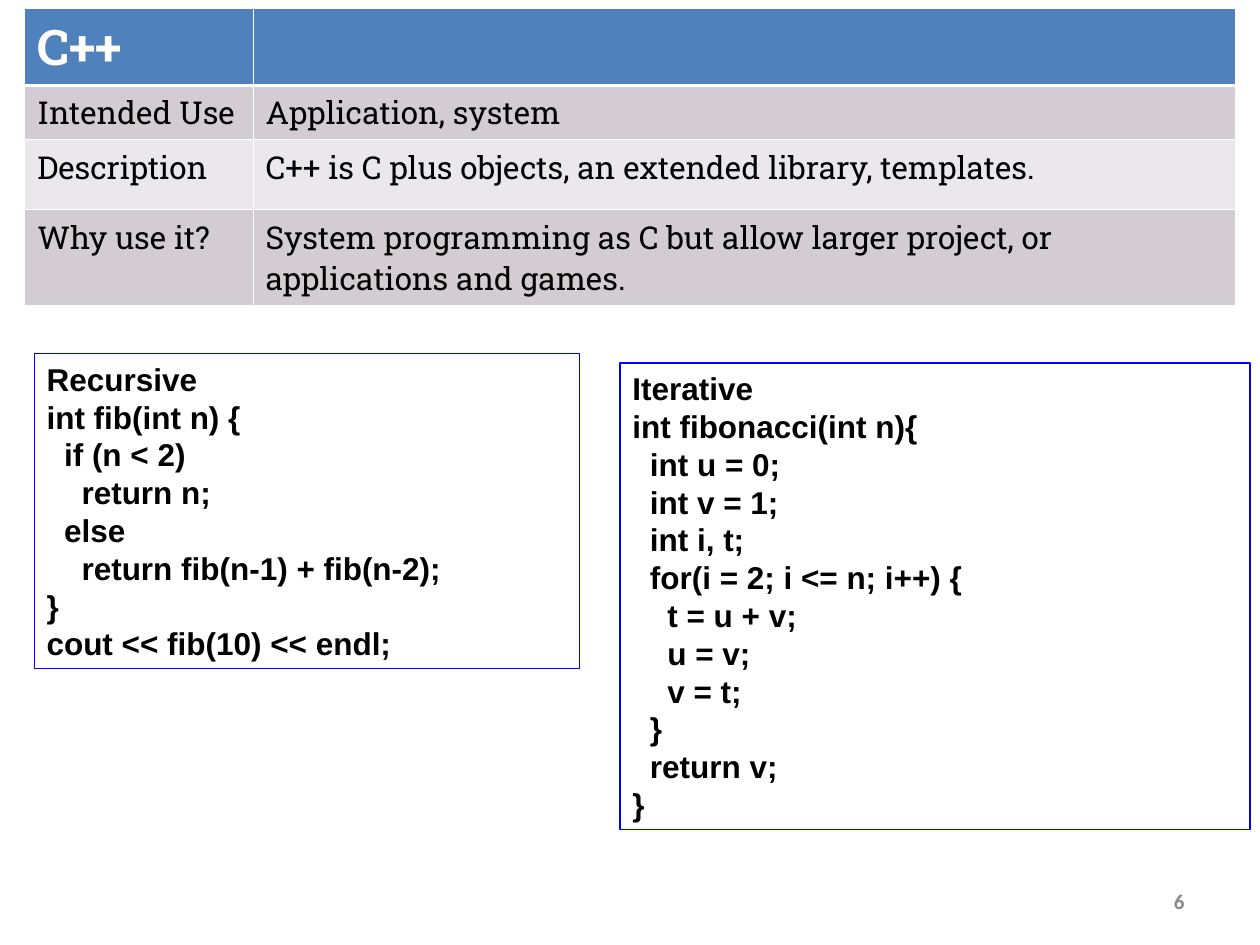
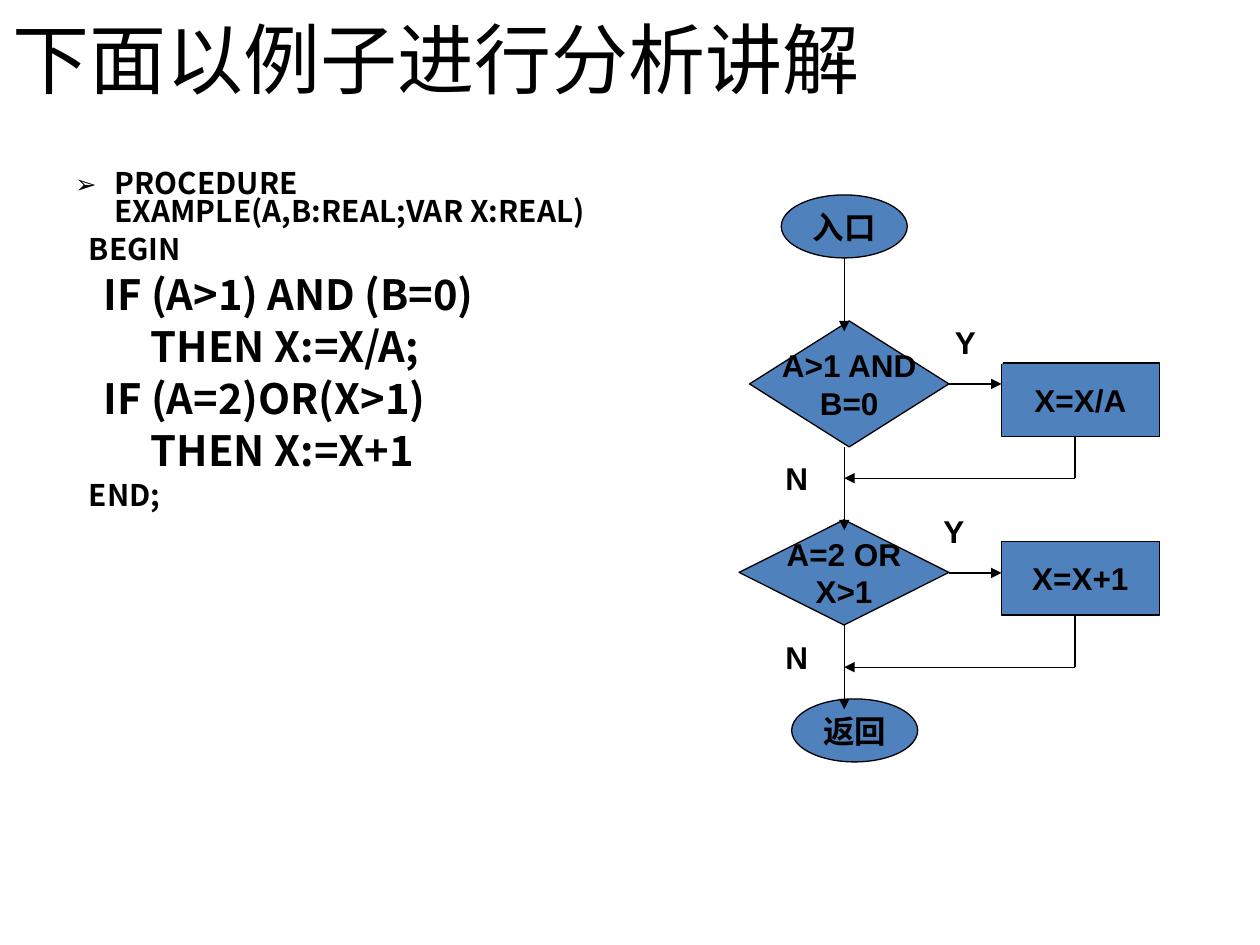
from lxml import etree
from pptx import Presentation
from pptx.dml.color import RGBColor
from pptx.enum.shapes import MSO_CONNECTOR, MSO_SHAPE
from pptx.enum.text import MSO_ANCHOR, PP_ALIGN
from pptx.oxml.ns import qn
from pptx.util import Cm, Pt

LEFT, CENTER, RIGHT, JUSTIFY = PP_ALIGN.LEFT, PP_ALIGN.CENTER, PP_ALIGN.RIGHT, PP_ALIGN.JUSTIFY
TOP, MIDDLE = MSO_ANCHOR.TOP, MSO_ANCHOR.MIDDLE
STRAIGHT = MSO_CONNECTOR.STRAIGHT
RECTANGLE, OVAL, DECISION = MSO_SHAPE.RECTANGLE, MSO_SHAPE.OVAL, MSO_SHAPE.FLOWCHART_DECISION

BLACK, WHITE, BLUE, GREY = "000000", "FFFFFF", "4F81BD", "898989"
CODE_BORDER = "0000FF"
ROW_FILLS = (BLUE, "D3CDD3", "EAE8EA", "D3CDD3")
CHINESE_FONT = "Noto Sans CJK SC"

LANGUAGE_ROWS = [
    ("C++", ""),
    ("Intended Use", "Application, system"),
    ("Description", "C++ is C plus objects, an extended library, templates."),
    ("Why use it?", "System programming as C but allow larger project, or applications and games."),
]
TABLE_PLACE = (0.5, 0.17, 24.41, 5.67)
COLUMN_WIDTHS = (4.6, 19.81)
ROW_HEIGHTS = (1.5, 1.08, 1.41, 1.9)

RECURSIVE_CODE = """Recursive
int fib(int n) {
  if (n < 2)
    return n;
  else
    return fib(n-1) + fib(n-2);
}
cout << fib(10) << endl;"""
ITERATIVE_CODE = """Iterative
int fibonacci(int n){
  int u = 0;
  int v = 1;
  int i, t;
  for(i = 2; i <= n; i++) {
    t = u + v;
    u = v;
    v = t;
  }
  return v;
}"""
CODE_BOXES = [
    (RECURSIVE_CODE, (0.69, 7.13, 11, 6.35)),
    (ITERATIVE_CODE, (12.5, 7.32, 12.7, 9.4)),
]

PROCEDURE_LINES = [
    ("PROCEDURE EXAMPLE(A,B:REAL;VAR X:REAL)", 17, 0),
    ("  BEGIN", 17, 5),
    ("   IF (A>1) AND (B=0)", 23.8, 7),
    ("        THEN X:=X/A;", 23.8, 7),
    ("   IF (A=2)OR(X>1)", 23.8, 7),
    ("        THEN X:=X+1", 23.8, 7),
    ("  END;", 17, 5),
]

FLOW_NODES = [
    (OVAL, "入口", (15.75, 3.93, 2.54, 1.27)),
    (OVAL, "返回", (15.96, 14.09, 2.54, 1.27)),
    (DECISION, "A>1 AND\nB=0", (15.11, 6.47, 4.02, 2.54)),
    (DECISION, "A=2 OR\nX>1", (14.9, 10.48, 4.23, 2.12)),
    (RECTANGLE, "X=X/A", (20.19, 7.32, 3.18, 1.48)),
    (RECTANGLE, "X=X+1", (20.19, 10.92, 3.18, 1.48)),
]
AXIS, DECISION_EDGE, PROCESS_EDGE, RETURN_COLUMN = 17.02, 19.13, 20.19, 21.67
AXIS_ARROWS = [(5.2, 6.68), (9.01, 10.69), (12.6, 14.3)]
BRANCHES = [(7.74, 8.8, 9.64), (11.55, 12.4, 13.45)]
BRANCH_LABELS = [("Y", 18.49, 10.28), ("Y", 18.72, 6.47), ("N", 15.32, 9.21), ("N", 15.32, 12.82)]
LABEL_SIZE = (1.48, 0.85)


def color(value):
    return RGBColor.from_string(value)


def lengths(values):
    return [Cm(value) for value in values]


def write(paragraph, text, size=18, font="Arial", fill=BLACK, bold=True, align=LEFT):
    paragraph.alignment = align
    run = paragraph.add_run()
    run.text = text
    run.font.size, run.font.bold, run.font.name = Pt(size), bold, font
    run.font.color.rgb = color(fill)
    etree.SubElement(run.font._element, qn("a:ea"), typeface=CHINESE_FONT)


def write_lines(frame, text, **text_format):
    for index, line in enumerate(text.split("\n")):
        paragraph = frame.add_paragraph() if index else frame.paragraphs[0]
        write(paragraph, line, **text_format)


def add_box(slide, kind, place, text, fill=None, line=BLACK, wrap=False, anchor=MIDDLE, align=CENTER):
    shape = slide.shapes.add_shape(kind, *lengths(place))
    shape.shadow.inherit = False
    if fill:
        shape.fill.solid()
        shape.fill.fore_color.rgb = color(fill)
    else:
        shape.fill.background()
    shape.line.color.rgb = color(line)
    shape.line.width = Pt(0.75)
    frame = shape.text_frame
    frame.word_wrap, frame.vertical_anchor = wrap, anchor
    write_lines(frame, text, align=align)


def add_line(slide, start, end, arrow=True):
    connector = slide.shapes.add_connector(STRAIGHT, *lengths(start + end))
    connector.line.color.rgb = color(BLACK)
    connector.line.width = Pt(0.75)
    if arrow:
        etree.SubElement(connector.line._get_or_add_ln(), qn("a:tailEnd"), type="triangle")
    etree.SubElement(connector._element.spPr, qn("a:effectLst"))


def style_cell(cell, row):
    properties = cell._tc.get_or_add_tcPr()
    thick_side = {0: "lnB", 1: "lnT"}.get(row)
    for side in ("lnL", "lnR", "lnT", "lnB"):
        width = Pt(1.47 if side == thick_side else 0.45)
        border = etree.SubElement(properties, qn("a:" + side), w=str(width))
        fill = etree.SubElement(border, qn("a:solidFill"))
        etree.SubElement(fill, qn("a:srgbClr"), val=WHITE)
    cell.fill.solid()
    cell.fill.fore_color.rgb = color(ROW_FILLS[row])


def add_language_table(slide):
    row_count, column_count = len(LANGUAGE_ROWS), len(COLUMN_WIDTHS)
    table = slide.shapes.add_table(row_count, column_count, *lengths(TABLE_PLACE)).table
    for column, width in zip(table.columns, COLUMN_WIDTHS):
        column.width = Cm(width)
    for row_index, texts in enumerate(LANGUAGE_ROWS):
        table.rows[row_index].height = Cm(ROW_HEIGHTS[row_index])
        header = row_index == 0
        for column_index, text in enumerate(texts):
            cell = table.cell(row_index, column_index)
            style_cell(cell, row_index)
            if text:
                write(cell.text_frame.paragraphs[0], text, size=28 if header else 18,
                      font="Roboto Slab", fill=WHITE if header else BLACK, bold=header)


def build_language_slide(presentation):
    slide = presentation.slides.add_slide(presentation.slide_layouts[6])
    add_language_table(slide)
    for code, place in CODE_BOXES:
        add_box(slide, RECTANGLE, place, code, line=CODE_BORDER, wrap=True, anchor=TOP, align=LEFT)
    frame = slide.shapes.add_textbox(*lengths((18.21, 17.65, 5.92, 1.02))).text_frame
    frame.word_wrap, frame.vertical_anchor = True, MIDDLE
    write_lines(frame, "6", size=12, font="Calibri", fill=GREY, align=RIGHT)


def add_procedure(slide):
    frame = slide.shapes.add_textbox(*lengths((0, 3.33, 12.7, 8.61))).text_frame
    frame.word_wrap = True
    for index, (text, size, space_before) in enumerate(PROCEDURE_LINES):
        paragraph = frame.add_paragraph() if index else frame.paragraphs[0]
        paragraph.line_spacing = 0.8
        paragraph.space_before = Pt(space_before)
        properties = paragraph._p.get_or_add_pPr()
        properties.set("marL", str(Cm(2.06)))
        properties.set("indent", str(Cm(-0.79)))
        if index == 0:
            etree.SubElement(properties, qn("a:buSzPct"), val="85000")
            etree.SubElement(properties, qn("a:buFont"), typeface=CHINESE_FONT)
            etree.SubElement(properties, qn("a:buChar"), char="➢")
        write(paragraph, text, size=size, font=CHINESE_FONT, align=JUSTIFY)


def add_flowchart(slide):
    for kind, text, place in FLOW_NODES:
        add_box(slide, kind, place, text, fill=BLUE)
    for start, end in AXIS_ARROWS:
        add_line(slide, (AXIS, start), (AXIS, end))
    for level, process_bottom, join in BRANCHES:
        add_line(slide, (DECISION_EDGE, level), (PROCESS_EDGE, level))
        add_line(slide, (RETURN_COLUMN, process_bottom), (RETURN_COLUMN, join), arrow=False)
        add_line(slide, (RETURN_COLUMN, join), (AXIS, join))
    for text, left, top in BRANCH_LABELS:
        add_box(slide, RECTANGLE, (left, top, *LABEL_SIZE), text, fill=WHITE, line=WHITE)


def build_example_slide(presentation):
    slide = presentation.slides.add_slide(presentation.slide_layouts[5])
    title = slide.shapes.title
    title.left, title.top, title.width, title.height = lengths((0, 0, 21.64, 2.34))
    title.text_frame.vertical_anchor = MIDDLE
    write_lines(title.text_frame, "下面以例子进行分析讲解", size=44, font="Calibri", bold=False)
    add_procedure(slide)
    add_flowchart(slide)


def main():
    presentation = Presentation()
    presentation.slide_width, presentation.slide_height = Cm(25.4), Cm(19.05)
    build_language_slide(presentation)
    build_example_slide(presentation)
    presentation.save("out.pptx")


if __name__ == "__main__":
    main()
